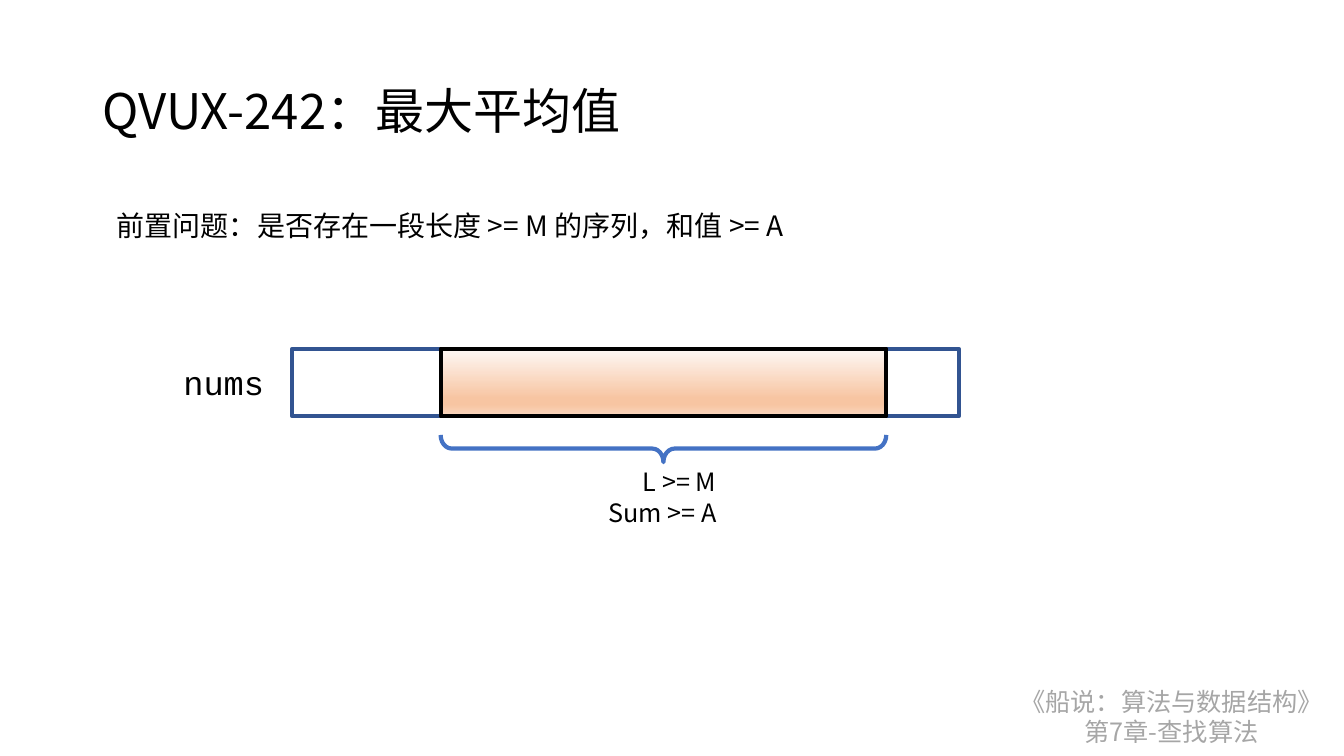
from lxml import etree
from pptx import Presentation
from pptx.dml.color import RGBColor
from pptx.enum.shapes import MSO_SHAPE
from pptx.enum.text import MSO_ANCHOR, MSO_AUTO_SIZE, PP_ALIGN
from pptx.oxml.ns import qn
from pptx.util import Pt

BLACK = RGBColor(0x00, 0x00, 0x00)
GREY = RGBColor(0xA6, 0xA6, 0xA6)
NAVY = RGBColor(0x32, 0x54, 0x91)
BLUE = RGBColor(0x44, 0x72, 0xC4)
CREAM = RGBColor(0xFE, 0xF8, 0xF5)
PEACH = RGBColor(0xF7, 0xC5, 0xA2)
LIGHT_PEACH = RGBColor(0xFA, 0xD8, 0xC1)

RECT, LEFT_BRACE = MSO_SHAPE.RECTANGLE, MSO_SHAPE.LEFT_BRACE
LEFT, CENTER = PP_ALIGN.LEFT, PP_ALIGN.CENTER
TOP, MIDDLE = MSO_ANCHOR.TOP, MSO_ANCHOR.MIDDLE
FIT, NO_FIT = MSO_AUTO_SIZE.SHAPE_TO_FIT_TEXT, MSO_AUTO_SIZE.NONE
SANS, MONO = "Noto Sans CJK SC", "Courier New"
EMU_PER_PX = 9144


def px(n):
    return round(n * EMU_PER_PX)


def apply(target, values):
    for name, value in values.items():
        setattr(target, name, value)


class Deck:
    def __init__(self, width, height, line_width):
        self.prs = Presentation()
        apply(self.prs, {"slide_width": px(width), "slide_height": px(height)})
        self.slide = self.prs.slides.add_slide(self.prs.slide_layouts[6])
        self.line_width = Pt(line_width)

    def text(self, box, lines, size, font=SANS, color=BLACK, align=LEFT,
             spacing=1.0, anchor=TOP, wrap=False, indents=()):
        sp = self.slide.shapes.add_textbox(*map(px, box))
        tf = sp.text_frame
        apply(tf, {"word_wrap": wrap, "vertical_anchor": anchor,
                   "auto_size": NO_FIT if wrap else FIT})
        for i, line in enumerate(lines):
            p = tf.add_paragraph() if i else tf.paragraphs[0]
            apply(p, {"alignment": align, "line_spacing": spacing})
            if i < len(indents):
                p._p.get_or_add_pPr().set("marL", str(px(indents[i])))
            r = p.add_run()
            r.text = line
            apply(r.font, {"size": Pt(size), "name": font})
            r.font.color.rgb = color
            ea = etree.SubElement(r._r.get_or_add_rPr(), qn("a:ea"))
            ea.set("typeface", font)

    def shape(self, kind, box, color, stops=(), rotation=0, adjustments=()):
        sp = self.slide.shapes.add_shape(kind, *map(px, box))
        sp.rotation = rotation
        sp.shadow.inherit = False
        sp.line.color.rgb = color
        sp.line.width = self.line_width
        for i, value in enumerate(adjustments):
            sp.adjustments[i] = value
        if stops:
            self.gradient(sp, stops)
        else:
            sp.fill.background()

    def gradient(self, sp, stops):
        sp.fill.gradient()
        sp.fill.gradient_angle = 270
        gs_list = sp._element.spPr.find(qn("a:gradFill")).find(qn("a:gsLst"))
        for gs in list(gs_list):
            gs_list.remove(gs)
        for percent, color in stops:
            gs = etree.SubElement(gs_list, qn("a:gs"), pos=str(percent * 1000))
            etree.SubElement(gs, qn("a:srgbClr"), val=str(color))


def main():
    deck = Deck(1333, 750, 3)
    deck.text((997, 676, 330, 71), ["《船说：算法与数据结构》", "第7章-查找算法"],
              18, color=GREY, align=CENTER)
    deck.text((92, 40, 1150, 145), ["QVUX-242：最大平均值"], 35,
              spacing=0.9, anchor=MIDDLE, wrap=True)
    deck.text((106, 185, 709, 55),
              ["前置问题：是否存在一段长度 >= M 的序列，和值 >= A"], 20, spacing=1.5)

    row_top, row_height = 346, 67
    window_left, window_width = 437, 442
    deck.shape(RECT, (290, row_top, 661, row_height), NAVY)
    deck.text((172, 354, 101, 50), ["nums"], 24, font=MONO)
    deck.shape(RECT, (window_left, row_top, window_width, row_height), BLACK,
               stops=[(0, CREAM), (74, PEACH), (83, PEACH), (100, LIGHT_PEACH)])

    depth, brace_middle = 27, 445
    brace_left = window_left + (window_width - depth) / 2
    deck.shape(LEFT_BRACE,
               (brace_left, brace_middle - window_width / 2, depth, window_width),
               BLUE, rotation=270, adjustments=(0.41, 0.5))
    deck.text((586, 458, 142, 71), ["L >= M", "Sum >= A"], 18,
              align=CENTER, indents=(34,))
    deck.prs.save("out.pptx")


if __name__ == "__main__":
    main()
